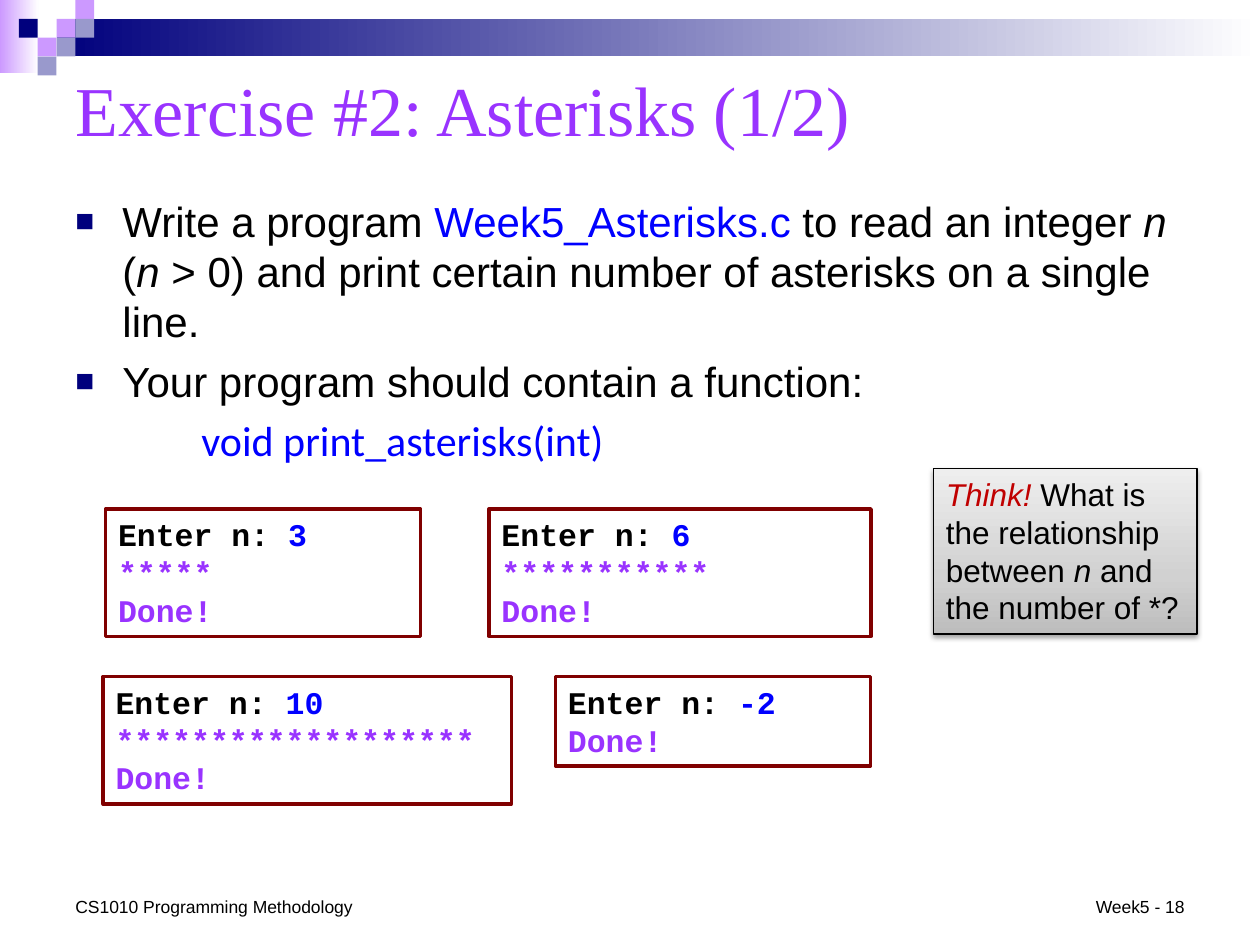
from lxml import etree
from pptx import Presentation
from pptx import util as u
from pptx.dml.color import RGBColor
from pptx.enum import shapes, text
from pptx.oxml import parse_xml
from pptx.oxml.ns import nsdecls, qn

Cm, Pt = u.Cm, u.Pt
BLACK, WHITE, BLUE, NAVY = "000000", "FFFFFF", "0000FF", "00007D"
VIOLET, LILAC, GREY = "9933FF", "CC99FF", "9999CC"
UNIT = 0.38  # side of a corner square


def tint(hue):
    return RGBColor.from_string(hue)


def place(box):
    return [Cm(v) for v in box]


def write(par, words, size=18, font="Arial", hue=BLACK, bold=False, slant=False):
    """Add one formatted run to a paragraph."""
    run = par.add_run()
    run.text = words
    face = run.font
    face.size, face.name = Pt(size), font
    face.bold, face.italic = bold, slant
    face.color.rgb = tint(hue)


def label(slide, box, words, anchor="TOP", align="LEFT", wrap=True, **look):
    frame = slide.shapes.add_textbox(*place(box)).text_frame
    frame.word_wrap = wrap
    frame.vertical_anchor = text.MSO_ANCHOR[anchor]
    par = frame.paragraphs[0]
    par.alignment = text.PP_ALIGN[align]
    write(par, words, **look)


def block(slide, box, fill=None, edge=None, width=2):
    shape = slide.shapes.add_shape(shapes.MSO_SHAPE.RECTANGLE, *place(box))
    shape.shadow.inherit = False
    if fill:
        shape.fill.solid()
        shape.fill.fore_color.rgb = tint(fill)
    if edge:
        shape.line.color.rgb = tint(edge)
        shape.line.width = Pt(width)
    else:
        shape.line.fill.background()
    frame = shape.text_frame
    frame.word_wrap = True
    frame.vertical_anchor = text.MSO_ANCHOR.TOP
    frame.paragraphs[0].alignment = text.PP_ALIGN.LEFT
    return shape


def fade(shape, stops, angle=0):
    """Fill with a gradient of (percent, colour) stops."""
    shape.fill.gradient()
    shape.fill.gradient_angle = angle
    track = shape._element.spPr.find(qn("a:gradFill")).find(qn("a:gsLst"))
    for old in list(track):
        track.remove(old)
    for pos, hue in stops:
        stop = etree.SubElement(track, qn("a:gs"), pos=str(pos * 1000))
        etree.SubElement(stop, qn("a:srgbClr"), val=hue)


def shade(shape):
    glow = shape._element.spPr.find(qn("a:effectLst"))
    glow.append(parse_xml(
        f'<a:outerShdw {nsdecls("a")} blurRad="{Pt(3.1)}" dist="{Pt(1.6)}" '
        'dir="5400000" rotWithShape="0"><a:srgbClr val="000000">'
        '<a:alpha val="38000"/></a:srgbClr></a:outerShdw>'))


def header(slide):
    fade(block(slide, (0, 0, 0.78, 1.47)), [(0, LILAC), (100, WHITE)])
    band = block(slide, (3 * UNIT, UNIT, 25.4 - 3 * UNIT, 2 * UNIT))
    fade(band, [(0, NAVY), (100, WHITE)])
    squares = [(3, 1, LILAC), (4, 0, LILAC), (4, 1, GREY), (2, 2, LILAC),
               (1, 1, NAVY), (3, 2, GREY), (2, 3, GREY)]
    for col, row, hue in squares:
        block(slide, (col * UNIT, row * UNIT, UNIT, UNIT), hue)


def sample(slide, box, entry, stars):
    """Show one run of the program."""
    frame = block(slide, box, WHITE, "800000").text_frame
    look = dict(font="Courier New", bold=True)
    first = frame.paragraphs[0]
    write(first, "Enter n: ", **look)
    write(first, entry, hue=BLUE, **look)
    for line in (["*" * stars] if stars else []) + ["Done!"]:
        par = frame.add_paragraph()
        par.alignment = text.PP_ALIGN.LEFT
        write(par, line, hue=VIOLET, **look)


def point(par, left, bullet=True):
    """Set the indent of a body paragraph and its square bullet."""
    par.space_before = Pt(5)
    props = par._p.get_or_add_pPr()
    props.set("marL", str(Cm(left)))
    if not bullet:
        return
    props.set("indent", str(-Cm(left)))
    hue = etree.SubElement(props, qn("a:buClr"))
    etree.SubElement(hue, qn("a:srgbClr"), val=NAVY)
    etree.SubElement(props, qn("a:buSzPct"), val="75000")
    etree.SubElement(props, qn("a:buFont"), typeface="Arial")
    etree.SubElement(props, qn("a:buChar"), char="■")


def body(slide):
    frame = slide.shapes.add_textbox(*place((1.27, 3.81, 22.86, 5.79))).text_frame
    frame.word_wrap = True
    task = frame.paragraphs[0]
    point(task, 0.95)
    for words, look in [
            ("Write a program ", {}), ("Week5_Asterisks.c ", {"hue": BLUE}),
            ("to read an integer ", {}), ("n", {"slant": True}), (" (", {}),
            ("n", {"slant": True}),
            (" > 0) and print certain number of asterisks on a single line.", {})]:
        write(task, words, size=24, **look)
    need = frame.add_paragraph()
    point(need, 0.95)
    write(need, "Your program should contain a function:", size=24)
    code = frame.add_paragraph()
    point(code, 2.54, bullet=False)
    write(code, "void print_asterisks(int)", size=24, font="Calibri", hue=BLUE)


def hint(slide):
    card = block(slide, (18.82, 9.45, 5.31, 3.33), edge=BLACK, width=0.75)
    fade(card, [(0, "BDBDBD"), (35, "D1D1D1"), (100, "EEEEEE")], angle=90)
    shade(card)
    par = card.text_frame.paragraphs[0]
    write(par, "Think! ", hue="C00000", slant=True)
    write(par, "What is the relationship between ")
    write(par, "n", slant=True)
    write(par, " and the number of *?")


def main():
    deck = Presentation()
    deck.slide_width, deck.slide_height = Cm(25.4), Cm(19.05)
    slide = deck.slides.add_slide(deck.slide_layouts[6])
    header(slide)
    label(slide, (1.27, 17.93, 6.15, 0.69), "CS1010 Programming Methodology", size=10)
    for box, entry, stars in [
            ((2.13, 10.26, 6.35, 2.57), "3", 5),
            ((9.86, 10.26, 7.7, 2.57), "6", 11),
            ((2.08, 13.64, 8.23, 2.57), "10", 19),
            ((11.2, 13.64, 6.35, 1.8), "-2", 0)]:
        sample(slide, box, entry, stars)
    hint(slide)
    label(slide, (21.79, 17.93, 2.34, 0.69), "Week5 - 18", anchor="BOTTOM",
          align="RIGHT", wrap=False, size=10)
    label(slide, (1.27, 1.07, 22.86, 2.24), "Exercise #2: Asterisks (1/2)",
          anchor="MIDDLE", size=40, font="Times New Roman", hue=VIOLET)
    body(slide)
    deck.save("out.pptx")


if __name__ == "__main__":
    main()
